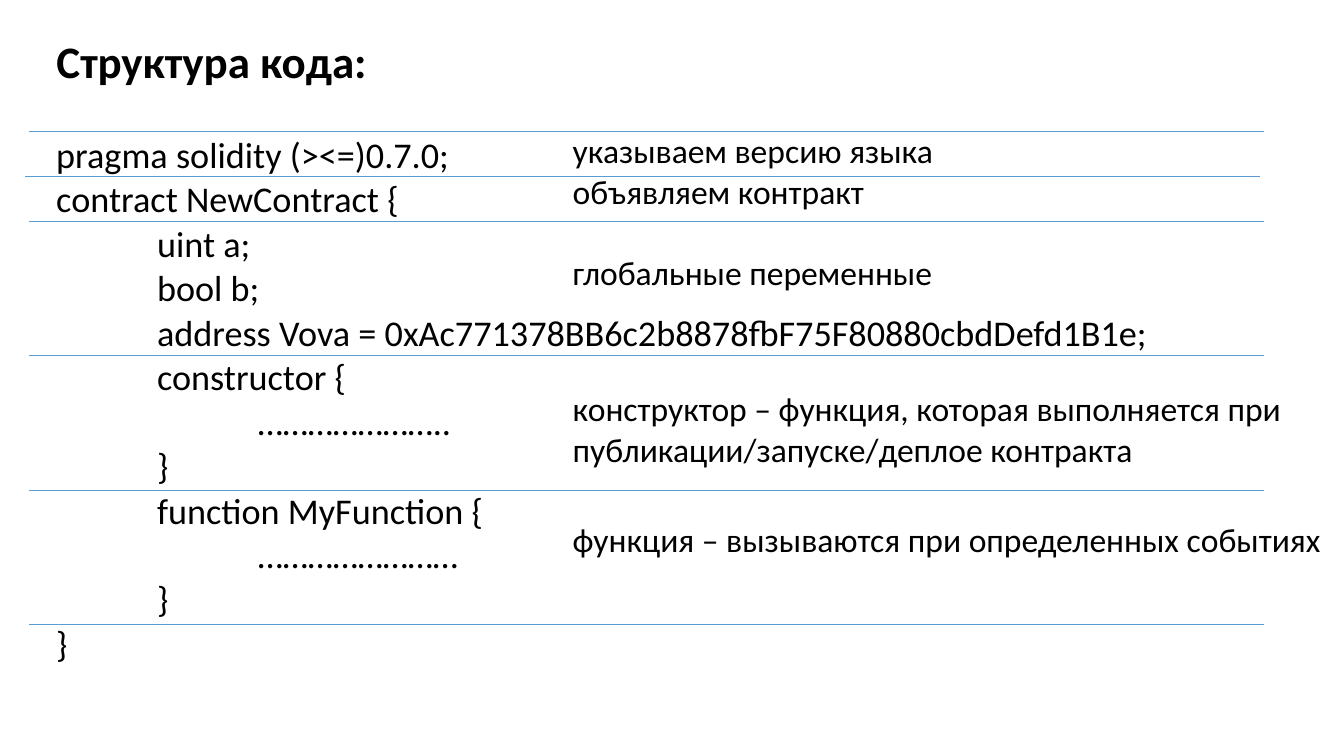
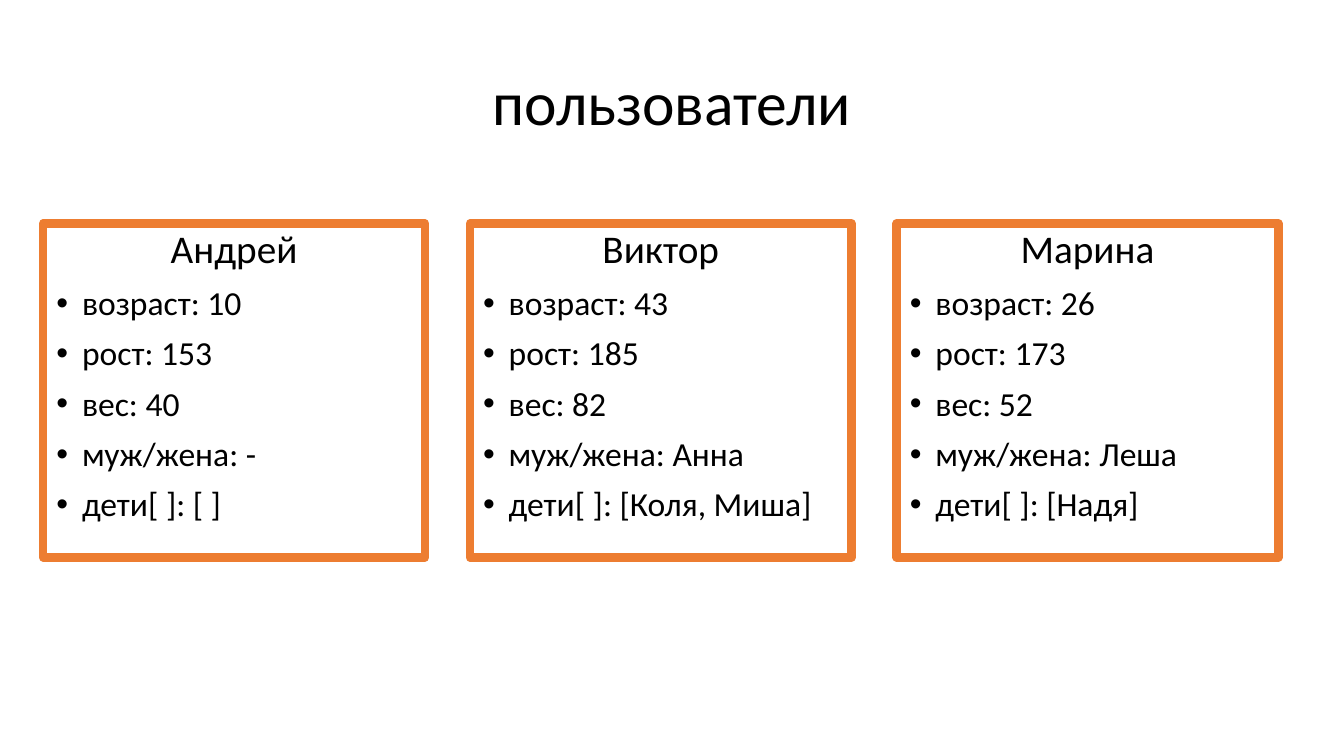
from dataclasses import dataclass
from typing import NamedTuple

from lxml import etree
from pptx import Presentation
from pptx.dml.color import RGBColor
from pptx.enum.shapes import MSO_CONNECTOR, MSO_SHAPE
from pptx.enum.text import MSO_ANCHOR, MSO_AUTO_SIZE, PP_ALIGN
from pptx.oxml.ns import qn
from pptx.util import Inches, Pt

LEFT, CENTER = PP_ALIGN.LEFT, PP_ALIGN.CENTER
TOP, MIDDLE = MSO_ANCHOR.TOP, MSO_ANCHOR.MIDDLE
FIXED, GROW = MSO_AUTO_SIZE.NONE, MSO_AUTO_SIZE.SHAPE_TO_FIT_TEXT
RECT, STRAIGHT = MSO_SHAPE.RECTANGLE, MSO_CONNECTOR.STRAIGHT
WIDTH = Inches(10)
HEIGHT = WIDTH * 9 // 16


@dataclass(frozen=True)
class Theme:
    font: str = "Calibri"
    ink: RGBColor = RGBColor(0x00, 0x00, 0x00)
    rule: RGBColor = RGBColor(0x5B, 0x9B, 0xD5)
    frame: RGBColor = RGBColor(0xED, 0x7D, 0x31)
    head: float = 24.1
    title: float = 33
    code: float = 19.4
    name: float = 21
    body: float = 18
    gap: float = 7.5
    blank: float = 22
    thin: float = 0.5
    thick: float = 4.5


THEME = Theme()


class Box(NamedTuple):
    """Place and size in percent of the slide."""
    left: float
    top: float
    width: float
    height: float

    def place(self) -> tuple[int, int, int, int]:
        return (int(WIDTH * self.left / 100), int(HEIGHT * self.top / 100),
                int(WIDTH * self.width / 100), int(HEIGHT * self.height / 100))


class Line(NamedTuple):
    text: str
    size: float = THEME.body
    bold: bool = False
    align: PP_ALIGN = LEFT
    indent: float = 0
    bullet: bool = False
    before: float = 0


class Note(NamedTuple):
    box: Box
    lines: list[Line]


class Rule(NamedTuple):
    row: int
    left: float = 2.17


class User(NamedTuple):
    name: str
    age: int
    tall: int
    mass: int
    mate: str
    kids: str


# Code rows share one pitch, counted from the first rule.
ROW, FIRST, SPAN = 5.93, 17.4, 91.88
TAB = 0.75
RULES = [Rule(0), Rule(1, 1.87), Rule(2), Rule(5), Rule(8), Rule(11)]
CODE = [
    (0, "pragma solidity (><=)0.7.0;"),
    (0, "contract NewContract {"),
    (1, "uint a;"),
    (1, "bool b;"),
    (1, "address Vova = 0xAc771378BB6c2b8878fbF75F80880cbdDefd1B1e;"),
    (1, "constructor {"),
    (2, "………………….."),
    (1, "}"),
    (1, "function MyFunction {"),
    (2, "……………………"),
    (1, "}"),
    (0, "}"),
]
NOTES = [
    Note(Box(41.63, 16.35, 29.1, 23.3), [
        Line("указываем версию языка"),
        Line("объявляем контракт"),
        Line("глобальные переменные", before=THEME.blank)]),
    Note(Box(41.63, 50.5, 55.9, 12.6), [
        Line("конструктор – функция, которая выполняется при"),
        Line("публикации/запуске/деплое контракта")]),
    Note(Box(41.63, 67.75, 58.3, 7.1), [
        Line("функция – вызываются при определенных событиях")]),
]
USERS = [
    User("Андрей", 10, 153, 40, "-", "[ ]"),
    User("Виктор", 43, 185, 82, "Анна", "[Коля, Миша]"),
    User("Марина", 26, 173, 52, "Леша", "[Надя]"),
]
CARD, STEP = Box(3.22, 29.55, 28.4, 44.2), 31.75


def write(shape, lines: list[Line], *, space: float = 1, anchor=TOP,
          wrap: bool = True, fit=FIXED) -> None:
    frame = shape.text_frame
    frame.word_wrap, frame.auto_size = wrap, fit
    frame.vertical_anchor = anchor
    frame.margin_left = frame.margin_right = Inches(0.1)
    frame.margin_top = frame.margin_bottom = Inches(0.05)
    for i, line in enumerate(lines):
        para = frame.add_paragraph() if i else frame.paragraphs[0]
        para.alignment = line.align
        para.line_spacing = space
        para.space_before = Pt(line.before)
        props = para._p.get_or_add_pPr()
        if line.indent:
            props.set("marL", str(Inches(line.indent)))
        if line.bullet:
            props.set("indent", str(-Inches(line.indent)))
            etree.SubElement(props, qn("a:buFont"), typeface="Arial")
            etree.SubElement(props, qn("a:buChar"), char="•")
        run = para.add_run()
        run.text = line.text
        font = run.font
        font.name, font.size, font.bold = THEME.font, Pt(line.size), line.bold
        font.color.rgb = THEME.ink


def start(deck, box: Box, line: Line, **form):
    """Add a title-only slide and set its title."""
    slide = deck.slides.add_slide(deck.slide_layouts[5])
    title = slide.shapes.title
    title.left, title.top, title.width, title.height = box.place()
    write(title, [line], **form)
    return slide


def draw_rule(slide, rule: Rule) -> None:
    left, top, wide, _ = Box(rule.left, FIRST + rule.row * ROW, SPAN, 0).place()
    link = slide.shapes.add_connector(STRAIGHT, left, top, left + wide, top)
    link.line.color.rgb = THEME.rule
    link.line.width = Pt(THEME.thin)
    etree.SubElement(link._element.spPr, qn("a:effectLst"))


def draw_card(slide, box: Box, user: User) -> None:
    card = slide.shapes.add_shape(RECT, *box.place())
    card.shadow.inherit = False
    card.fill.background()
    card.line.color.rgb = THEME.frame
    card.line.width = Pt(THEME.thick)
    facts = [f"возраст: {user.age}", f"рост: {user.tall}", f"вес: {user.mass}",
             f"муж/жена: {user.mate}", f"дети[ ]: {user.kids}"]
    head = Line(user.name, THEME.name, align=CENTER, before=THEME.gap)
    write(card, [head] + [Line(fact, indent=0.19, bullet=True, before=THEME.gap)
                          for fact in facts], space=0.9)


def code_slide(deck) -> None:
    slide = start(deck, Box(3.2, 5.5, 86.2, 10.7),
                  Line("Структура кода:", THEME.head, bold=True), space=0.7)
    code = slide.shapes.add_textbox(*Box(3.2, 18.2, 86.2, 76.3).place())
    write(code, [Line(text, THEME.code, indent=depth * TAB, before=THEME.gap)
                 for depth, text in CODE], space=0.7)
    for note in NOTES:
        area = slide.shapes.add_textbox(*note.box.place())
        write(area, note.lines, wrap=False, fit=GROW)
    for rule in RULES:
        draw_rule(slide, rule)


def user_slide(deck) -> None:
    slide = start(deck, Box(6.9, 4.3, 86.2, 19.4),
                  Line("пользователи", THEME.title, align=CENTER),
                  space=0.9, anchor=MIDDLE)
    for i, user in enumerate(USERS):
        draw_card(slide, CARD._replace(left=CARD.left + i * STEP), user)


def main() -> None:
    deck = Presentation()
    deck.slide_width, deck.slide_height = WIDTH, HEIGHT
    code_slide(deck)
    user_slide(deck)
    deck.save("out.pptx")


if __name__ == "__main__":
    main()
